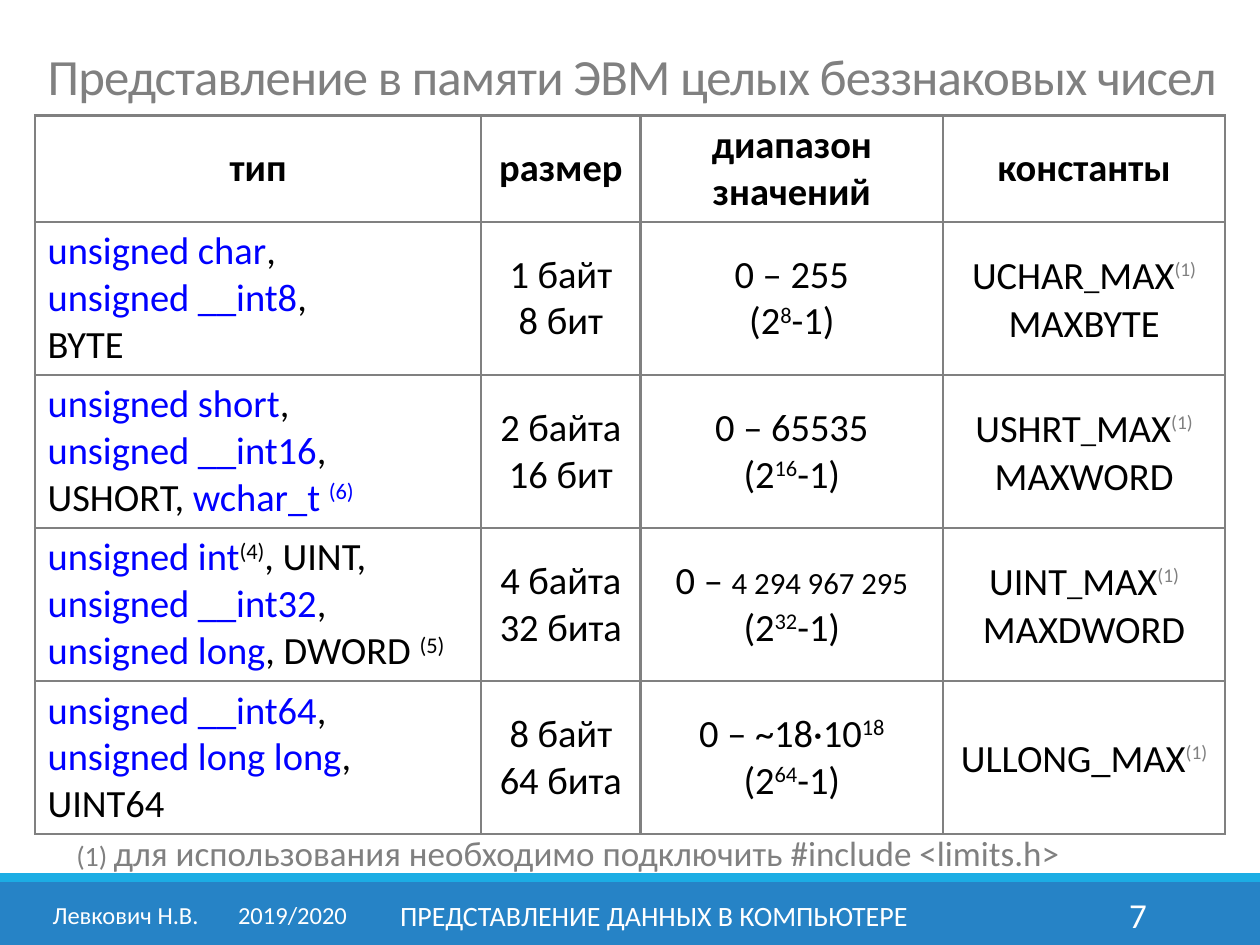
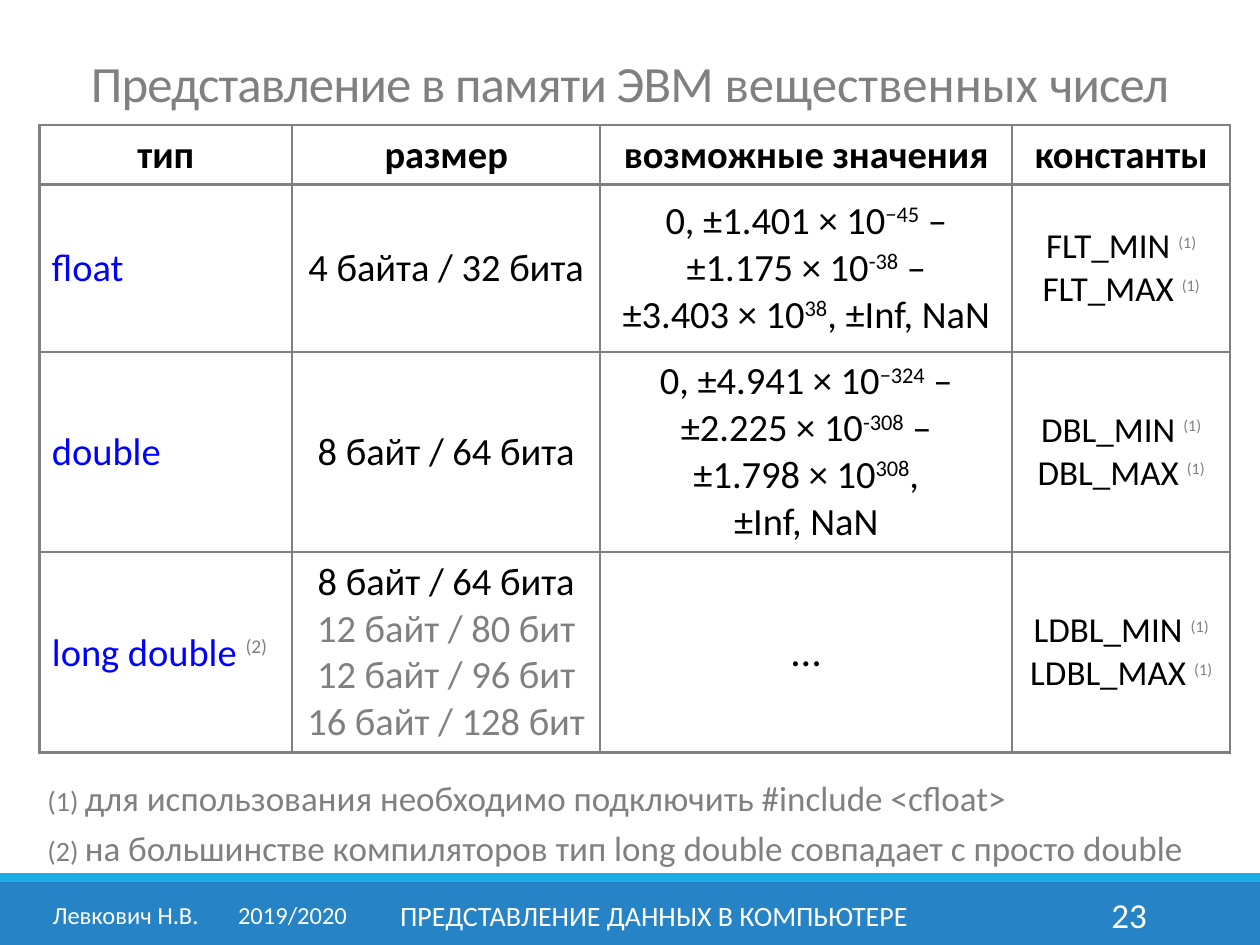
from pptx import Presentation
from pptx.dml.color import RGBColor
from pptx.enum.shapes import MSO_SHAPE
from pptx.enum.text import MSO_ANCHOR as Anchor, MSO_AUTO_SIZE as AutoSize, PP_ALIGN as Align
from pptx.oxml.ns import qn
from pptx.util import Pt
from lxml.etree import SubElement, Element

FONT = "Calibri"
COLORS = {
    "band": "2683C6",
    "stripe": "1CADE4",
    "white": "FFFFFF",
    "black": "000000",
    "gray": "808080",
    "keyword": "0000FF",
}
# Named run styles: size and colour, plus optional bold, caps, raised, spacing.
STYLES = {
    "plain": dict(size=22, color="black"),
    "head": dict(size=22, color="black", bold=True),
    "type": dict(size=22, color="keyword"),
    "muted": dict(size=22, color="gray"),
    "caps": dict(size=22, color="black", caps=True),
    "power": dict(size=22, color="black", raised=True),
    "type mark": dict(size=22, color="keyword", raised=True),
    "mark": dict(size=24, color="gray", raised=True, caps=True),
    "constant": dict(size=20, color="black"),
    "small mark": dict(size=20, color="gray", raised=True, caps=True),
    "dots": dict(size=24, color="black"),
    "title": dict(size=29, color="gray", spacing=-50),
    "loose title": dict(size=29, color="gray"),
    "note": dict(size=20, color="gray"),
    "note number": dict(size=20, color="gray", caps=True),
    "author": dict(size=14, color="white"),
    "topic": dict(size=16, color="white"),
    "number": dict(size=20, color="white"),
}


def rgb(name):
    """Return the named colour."""
    return RGBColor.from_string(COLORS[name])


def add_run(paragraph, text, style):
    """Add text in a named style; a newline becomes a line break."""
    look = STYLES[style]
    for index, line in enumerate(text.split("\n")):
        if index:
            paragraph.add_line_break()
        if not line:
            continue
        run = paragraph.add_run()
        run.text = line
        font = run.font
        font.name, font.size = FONT, Pt(look["size"])
        font.bold = look.get("bold", False)
        font.color.rgb = rgb(look["color"])
        properties = run._r.get_or_add_rPr()
        if look.get("raised"):
            properties.set("baseline", "30000")
        if look.get("caps"):
            properties.set("cap", "small")
        if "spacing" in look:
            properties.set("spc", str(look["spacing"]))


def write(frame, paragraphs, align=Align.LEFT, default="plain"):
    """Fill a text frame; a run is a string or a (text, style) pair."""
    for index, runs in enumerate(paragraphs):
        paragraph = frame.add_paragraph() if index else frame.paragraphs[0]
        paragraph.alignment = align
        for run in runs:
            text, style = (run, default) if isinstance(run, str) else run
            add_run(paragraph, text, style)


def add_text(slide, box, runs, align=Align.LEFT, anchor=Anchor.MIDDLE):
    """Add a wrapping one-paragraph text box and return its paragraph."""
    frame = slide.shapes.add_textbox(*map(Pt, box)).text_frame
    frame.word_wrap = True
    frame.vertical_anchor = anchor
    write(frame, [runs], align)
    return frame.paragraphs[0]


def add_title(slide, box, runs, align):
    """Place and format the title placeholder."""
    title = slide.shapes.title
    title.left, title.top, title.width, title.height = map(Pt, box)
    frame = title.text_frame
    frame.word_wrap = True
    frame.auto_size = AutoSize.NONE
    frame.vertical_anchor = Anchor.MIDDLE
    write(frame, [runs], align, "title")
    frame.paragraphs[0].line_spacing = 0.85


def add_bands(slide):
    """Draw the bottom bands and hand them to the layout for all slides."""
    layout = slide.slide_layout
    for top, height, color in ((504, 36, "band"), (499, 5, "stripe")):
        band = slide.shapes.add_shape(MSO_SHAPE.RECTANGLE, Pt(0), Pt(top), Pt(720), Pt(height))
        band.shadow.inherit = False
        band.fill.solid()
        band.fill.fore_color.rgb = rgb(color)
        band.line.fill.background()
        layout.shapes._spTree.append(band._element)


def add_footer(slide, number):
    """Add author, year, topic and slide number."""
    top, height = 508.5, 28.5
    author = add_text(slide, (23, top, 188, height), [("Левкович Н.В.\t2019/2020", "author")])
    tabs = SubElement(author._p.get_or_add_pPr(), qn("a:tabLst"))
    SubElement(tabs, qn("a:tab"), pos=str(int(Pt(106))), algn="l")
    add_text(slide, (217.5, top, 312.5, height),
             [("ПРЕДСТАВЛЕНИЕ ДАННЫХ В КОМПЬЮТЕРЕ", "topic")], Align.CENTER)
    add_text(slide, (584.5, top, 78, height), [(str(number), "number")], Align.RIGHT)


def add_note(slide, left, top, number, text):
    """Add a numbered footnote below the table."""
    add_text(slide, (left, top, 680, 31.5),
             [(f"({number}) ", "note number"), (text, "note")], anchor=Anchor.TOP)


def set_borders(cell):
    """Draw gray lines on the four sides of a cell."""
    properties = cell._tc.get_or_add_tcPr()
    for index, side in enumerate("LRTB"):
        line = Element(qn(f"a:ln{side}"), w=str(int(Pt(1.5))))
        fill = SubElement(line, qn("a:solidFill"))
        SubElement(fill, qn("a:srgbClr"), val=COLORS["gray"])
        properties.insert(index, line)


def add_grid(slide, left, top, widths, heights, heads, rows, type_anchor):
    """Add a table: centred bold heads, then rows with a left-aligned type."""
    content = [[[[(head, "head")]] for head in heads]] + rows
    table = slide.shapes.add_table(len(heights), len(widths), Pt(left), Pt(top),
                                   Pt(sum(widths)), Pt(sum(heights))).table
    table.first_row = table.horz_banding = False
    for column, width in zip(table.columns, widths):
        column.width = Pt(width)
    for row, height in zip(table.rows, heights):
        row.height = Pt(height)
    for i, row in enumerate(content):
        for j, paragraphs in enumerate(row):
            cell = table.cell(i, j)
            cell.fill.solid()
            cell.fill.fore_color.rgb = rgb("white")
            set_borders(cell)
            is_type = i > 0 and j == 0
            cell.vertical_anchor = type_anchor if is_type else Anchor.MIDDLE
            write(cell.text_frame, paragraphs, Align.LEFT if is_type else Align.CENTER)


def keyword(name):
    """Return a line with a built-in type followed by a comma."""
    return [(name, "type"), ","]


def lines(*texts):
    """Return one plain paragraph for each text."""
    return [[text] for text in texts]


def value_range(upper, bits):
    """Return the range cell: 0 to upper, and the power of two."""
    return [["0 – ", *upper], ["(2", (bits, "power"), "-1)"]]


def integer_limits(maximum, alias):
    """Return the constants cell of an integer type."""
    return [[(maximum, "caps"), ("(1)", "mark")], [alias]]


def real_limits(prefix):
    """Return the constants cell of a floating-point type."""
    return [[(f"{prefix}_MIN ", "constant"), ("(1)\n", "small mark"),
             (f"{prefix}_MAX ", "constant"), ("(1)", "small mark")]]


def real_values(tiny, least, greatest, ending):
    """Return the values cell from three (mantissa, exponent) pairs."""
    runs = ["0, "]
    for (mantissa, exponent), tail in zip((tiny, least, greatest), (" –\n", " –\n", ending)):
        runs += [f"±{mantissa} × 10", (exponent, "power"), tail]
    return [runs]


def build_integers(slide):
    """Build the slide on unsigned integers."""
    add_title(slide, (20, 16.5, 689, 58),
              ["Представление в памяти ЭВМ целых беззнаковых чисел"], Align.LEFT)
    rows = [
        [[keyword("unsigned char"), keyword("unsigned __int8"), ["BYTE"]],
         lines("1 байт", "8 бит"),
         value_range(["255"], "8"),
         integer_limits("UCHAR_MAX", "MAXBYTE")],
        [[keyword("unsigned short"), keyword("unsigned __int16"),
          ["USHORT, ", ("wchar_t ", "type"), ("(6)", "type mark")]],
         lines("2 байта", "16 бит"),
         value_range(["65535"], "16"),
         integer_limits("USHRT_MAX", "MAXWORD")],
        [[[("unsigned int", "type"), ("(4)", "power"), ", UINT,"],
          keyword("unsigned __int32"),
          [("unsigned long", "type"), ", DWORD ", ("(5)", "power")]],
         lines("4 байта", "32 бита"),
         value_range([("4\u00a0294\u00a0967 295", "caps")], "32"),
         integer_limits("UINT_MAX", "MAXDWORD")],
        [[keyword("unsigned __int64"), keyword("unsigned long long"), ["UINT64"]],
         lines("8 байт", "64 бита"),
         value_range(["~18·10", ("18", "power")], "64"),
         [["ULLONG_MAX", ("(1)", "mark")]]],
    ]
    add_grid(slide, 20, 66, (255, 91, 173, 161), (60.5, 87.5, 87.5, 87.5, 87.5),
             ("тип", "размер", "диапазон значений", "константы"), rows, Anchor.TOP)
    add_note(slide, 36.5, 471.5, 1, "для использования необходимо подключить #include <limits.h>")
    add_footer(slide, 7)


def build_reals(slide):
    """Build the slide on floating-point numbers."""
    add_title(slide, (20, 20.5, 680, 58),
              ["Представление в памяти ЭВМ ", ("вещественных ", "loose title"), "чисел"],
              Align.CENTER)
    rows = [
        [[[("float", "type")]],
         lines("4 байта / 32 бита"),
         real_values(("1.401", "−45"), ("1.175", "-38"), ("3.403", "38"), ", ±Inf, NaN"),
         real_limits("FLT")],
        [[[("double", "type")]],
         lines("8 байт / 64 бита"),
         real_values(("4.941", "−324"), ("2.225", "-308"), ("1.798", "308"), ",\n±Inf, NaN"),
         real_limits("DBL")],
        [[[("long double ", "type"), ("(2)", "mark")]],
         [["8 байт / 64 бита"],
          [("12 байт / 80 бит\n12 байт / 96 бит\n16 байт / 128 бит", "muted")]],
         [[("…", "dots")]],
         real_limits("LDBL")],
    ]
    add_grid(slide, 22.5, 71.5, (144.5, 176, 235.5, 124.5), (34, 95.5, 114.5, 114.5),
             ("тип", "размер", "возможные значения", "константы"), rows, Anchor.MIDDLE)
    add_note(slide, 20, 440, 1, "для использования необходимо подключить #include <cfloat>")
    add_note(slide, 20, 468.5, 2,
             "на большинстве компиляторов тип long double совпадает с просто double")
    add_footer(slide, 23)


def main():
    """Build and save the presentation."""
    presentation = Presentation()
    presentation.slide_width, presentation.slide_height = Pt(720), Pt(540)
    title_only = presentation.slide_layouts[5]
    slides = [presentation.slides.add_slide(title_only) for _ in range(2)]
    add_bands(slides[0])
    build_integers(slides[0])
    build_reals(slides[1])
    presentation.save("out.pptx")


main()
